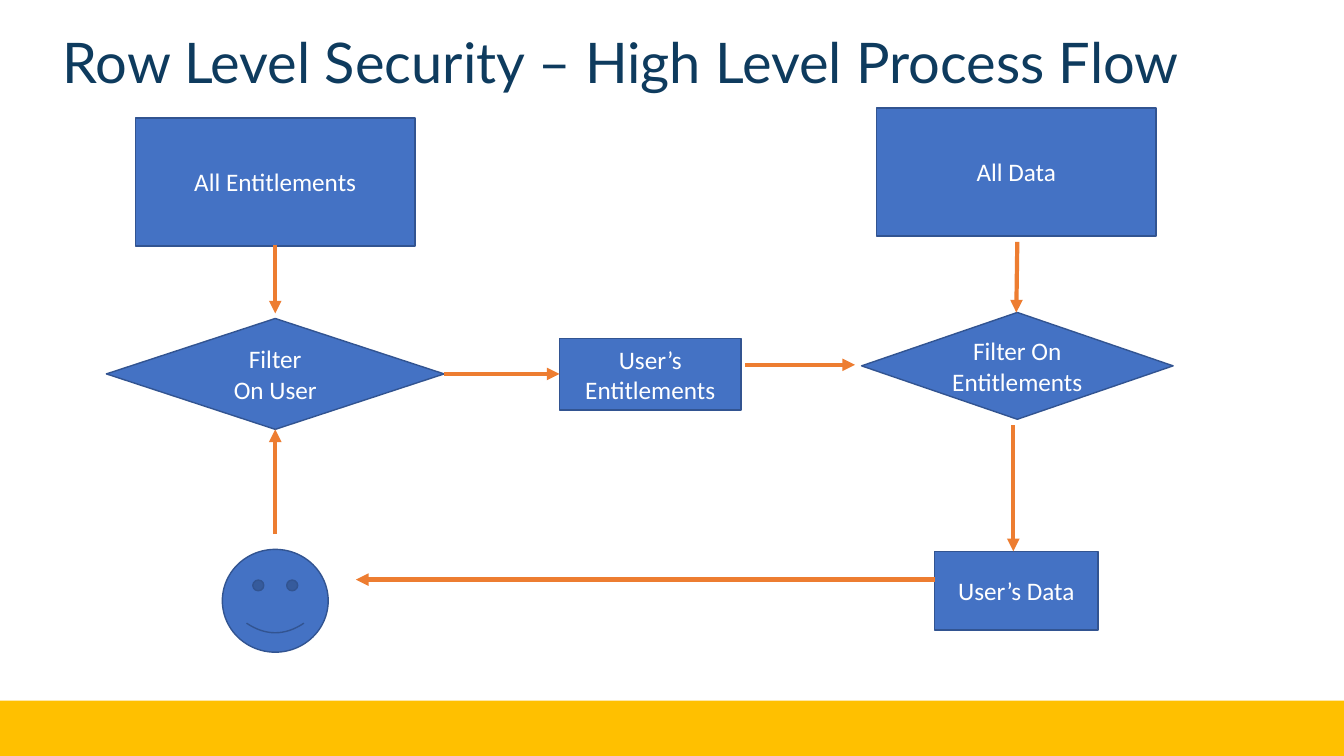
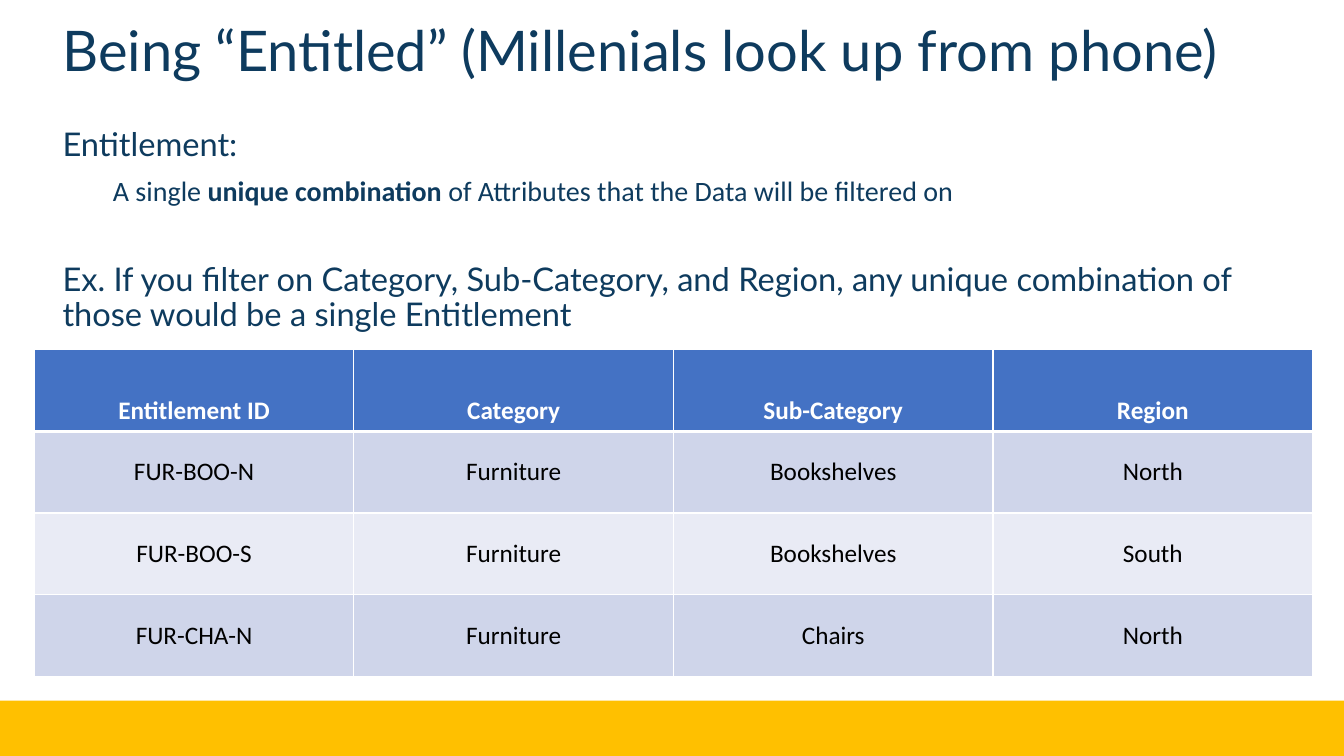
from lxml import etree
from pptx import Presentation
from pptx.dml.color import RGBColor
from pptx.enum.shapes import MSO_CONNECTOR, MSO_SHAPE
from pptx.enum.text import MSO_ANCHOR, PP_ALIGN
from pptx.oxml.ns import qn
from pptx.util import Inches, Pt

RECT, DIAMOND, SMILEY = MSO_SHAPE.RECTANGLE, MSO_SHAPE.DIAMOND, MSO_SHAPE.SMILEY_FACE
STRAIGHT = MSO_CONNECTOR.STRAIGHT
TOP, MIDDLE, BOTTOM = MSO_ANCHOR.TOP, MSO_ANCHOR.MIDDLE, MSO_ANCHOR.BOTTOM
LEFT, CENTER = PP_ALIGN.LEFT, PP_ALIGN.CENTER

WIDTH, HEIGHT = 13.33, 7.5
BAND_HEIGHT = 0.55
MARGIN = 0.62
NAVY, BLUE, OUTLINE, ORANGE, GOLD = "0E3B5E", "4472C4", "325491", "ED7D31", "FFC000"
WHITE, BLACK = "FFFFFF", "000000"
STRIPES = ("CFD5EA", "E9EBF5")
HEADING_FONT, BODY_FONT = "Lato", "Calibri"

FLOW_TITLE = "Row Level Security – High Level Process Flow"
USER_X, DATA_X = 2.73, 10.08  # centres of the two columns of the flow
USER_Y = 3.71                 # centre of the filter row
# shape, centre x, top, width, height, lines
FLOW_STEPS = [
    (RECT, DATA_X, 1.07, 2.77, 1.27, ["All Data"]),
    (RECT, USER_X, 1.17, 2.77, 1.27, ["All Entitlements"]),
    (RECT, 6.45, 3.36, 1.8, 0.71, ["User’s Entitlements"]),
    (DIAMOND, 10.09, 3.1, 3.09, 1.06, ["Filter On Entitlements"]),
    (RECT, DATA_X, 5.47, 1.62, 0.78, ["User’s Data"]),
    (DIAMOND, USER_X, 3.16, 3.35, 1.1, ["Filter", "On User"]),
    (SMILEY, USER_X, 5.45, 1.05, 1.02, []),
]
FLOW_ARROWS = [
    ((USER_X, 2.43), (USER_X, 3.11)),
    ((4.4, USER_Y), (5.55, USER_Y)),
    ((USER_X, 5.3), (USER_X, 4.26)),
    ((7.39, 3.62), (8.48, 3.62)),
    ((10.09, 2.4), (DATA_X, 3.1)),
    ((10.05, 4.22), (10.05, 5.47)),
    ((9.27, 5.75), (3.53, 5.75)),
]

ENTITLED_TITLE = "Being “Entitled” (Millenials look up from phone)"
DEFINITION = [
    dict(runs=["Entitlement:"], size=23.3, font=HEADING_FONT, after=10),
    dict(runs=["A single ", ("unique combination ", True),
               "of Attributes that the Data will be filtered on"],
         size=20, font=BODY_FONT, after=40, indent=0.5),
    dict(runs=["Ex. If you filter on Category, Sub-Category, and Region, any unique "
               "combination of those would be a single Entitlement"],
         size=23.3, font=HEADING_FONT),
]
ENTITLEMENTS = [
    ("Entitlement ID", "Category", "Sub-Category", "Region"),
    ("FUR-BOO-N", "Furniture", "Bookshelves", "North"),
    ("FUR-BOO-S", "Furniture", "Bookshelves", "South"),
    ("FUR-CHA-N", "Furniture", "Chairs", "North"),
]
TABLE_LEFT, TABLE_TOP, COLUMN_WIDTH, ROW_HEIGHT = 0.34, 3.47, 3.17, 0.81


def color(hex_code):
    return RGBColor.from_string(hex_code)


def inches(*lengths):
    return [Inches(length) for length in lengths]


def write(frame, paragraphs, size=18, font=BODY_FONT, ink=WHITE, bold=False,
          align=CENTER, spacing=None):
    """Fill a text frame; a paragraph is a string or a dict of runs and format."""
    frame.word_wrap = True
    for number, content in enumerate(paragraphs):
        style = content if isinstance(content, dict) else dict(runs=[content])
        paragraph = frame.add_paragraph() if number else frame.paragraphs[0]
        paragraph.alignment = align
        if spacing:
            paragraph.line_spacing = spacing
        paragraph.space_after = Pt(style.get("after", 0))
        if "indent" in style:
            properties = paragraph._p.get_or_add_pPr()
            properties.set("marL", str(Inches(style["indent"])))
            properties.set("indent", "0")
        for part in style["runs"]:
            words, strong = part if isinstance(part, tuple) else (part, bold)
            run = paragraph.add_run()
            run.text = words
            run.font.size = Pt(style.get("size", size))
            run.font.name = style.get("font", font)
            run.font.bold = strong
            run.font.color.rgb = color(ink)


def add_text(slide, box, paragraphs, **text_format):
    frame = slide.shapes.add_textbox(*inches(*box)).text_frame
    frame.margin_left = frame.margin_right = frame.margin_top = frame.margin_bottom = 0
    frame.vertical_anchor = TOP
    write(frame, paragraphs, ink=NAVY, align=LEFT, spacing=0.9, **text_format)


def add_block(slide, kind, box, fill, outline=None):
    block = slide.shapes.add_shape(kind, *inches(*box))
    block.shadow.inherit = False
    block.fill.solid()
    block.fill.fore_color.rgb = color(fill)
    if outline:
        block.line.color.rgb = color(outline)
        block.line.width = Pt(1)
    else:
        block.line.fill.background()
    return block


def add_arrow(slide, start, end):
    arrow = slide.shapes.add_connector(STRAIGHT, *inches(*start, *end))
    arrow.line.color.rgb = color(ORANGE)
    arrow.line.width = Pt(3)
    etree.SubElement(arrow.line._get_or_add_ln(), qn("a:tailEnd"), type="triangle")
    etree.SubElement(arrow._element.spPr, qn("a:effectLst"))


def set_borders(cell, **widths):
    """Draw white borders; widths in points are keyed by L, R, T and B."""
    properties = cell._tc.get_or_add_tcPr()
    for position, side in enumerate("LRTB"):
        border = etree.Element(qn(f"a:ln{side}"), w=str(Pt(widths.get(side, 1))))
        fill = etree.SubElement(border, qn("a:solidFill"))
        etree.SubElement(fill, qn("a:srgbClr"), val=WHITE)
        properties.insert(position, border)


def add_slide(deck, title, title_top):
    slide = deck.slides.add_slide(deck.slide_layouts[6])
    add_block(slide, RECT, (0, HEIGHT - BAND_HEIGHT, WIDTH, BAND_HEIGHT), GOLD)
    add_text(slide, (MARGIN, title_top, WIDTH - 2 * MARGIN, 0.61), [title],
             size=40, font=HEADING_FONT)
    return slide


def build_flow(deck):
    slide = add_slide(deck, FLOW_TITLE, 0.35)
    for kind, center, top, width, height, lines in FLOW_STEPS:
        box = (center - width / 2, top, width, height)
        step = add_block(slide, kind, box, BLUE, OUTLINE)
        step.text_frame.vertical_anchor = MIDDLE
        write(step.text_frame, lines)
    for start, end in FLOW_ARROWS:
        add_arrow(slide, start, end)


def build_entitlement(deck):
    slide = add_slide(deck, ENTITLED_TITLE, 0.23)
    add_text(slide, (MARGIN, 1.27, WIDTH - 2 * MARGIN, 2.1), DEFINITION)
    rows, columns = len(ENTITLEMENTS), len(ENTITLEMENTS[0])
    box = inches(TABLE_LEFT, TABLE_TOP, columns * COLUMN_WIDTH, rows * ROW_HEIGHT)
    table = slide.shapes.add_table(rows, columns, *box).table
    table.horz_banding = False
    for r, record in enumerate(ENTITLEMENTS):
        header = r == 0
        table.rows[r].height = Inches(ROW_HEIGHT)
        for c, value in enumerate(record):
            cell = table.cell(r, c)
            cell.fill.solid()
            cell.fill.fore_color.rgb = color(BLUE if header else STRIPES[(r - 1) % 2])
            cell.vertical_anchor = BOTTOM if header else MIDDLE
            write(cell.text_frame, [value], ink=WHITE if header else BLACK, bold=header)
            set_borders(cell, B=3 if header else 1, T=3 if r == 1 else 1)


def main():
    deck = Presentation()
    deck.slide_width, deck.slide_height = inches(WIDTH, HEIGHT)
    build_flow(deck)
    build_entitlement(deck)
    deck.save("out.pptx")


if __name__ == "__main__":
    main()
